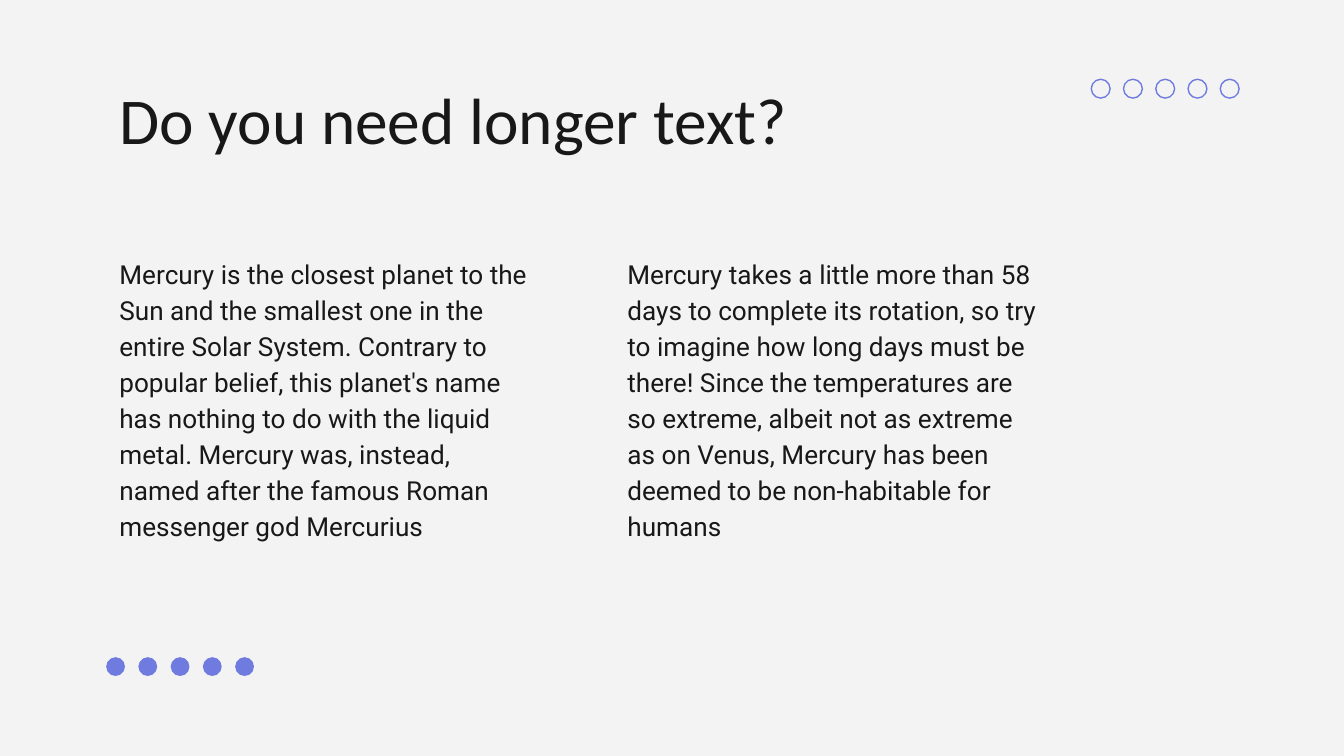
from pptx import Presentation
from pptx.dml.color import RGBColor as RGB
from pptx.enum.shapes import MSO_SHAPE as Shape
from pptx.enum.text import MSO_ANCHOR as Anchor
from pptx.util import Inches, Pt

COLORS = {"background": "F3F3F3", "ink": "181818", "accent": "707BE0"}

# Grid: a 16:9 slide with a left margin and two text columns
SLIDE_WIDTH = 10
SLIDE_HEIGHT = SLIDE_WIDTH * 9 / 16
MARGIN, COLUMN_STEP, COLUMN_WIDTH = 0.79, 3.78, 3.26
DOT_SIZE, DOT_STEP, DOT_COUNT = 0.14, 0.24, 5

prs = Presentation()
prs.slide_width, prs.slide_height = Inches(SLIDE_WIDTH), Inches(SLIDE_HEIGHT)
slide = prs.slides.add_slide(prs.slide_layouts[6])
slide.background.fill.solid()
slide.background.fill.fore_color.rgb = RGB.from_string(COLORS["background"])


def add_text(text, left, top, width, height, font, size, spacing):
    frame = slide.shapes.add_textbox(*map(Inches, (left, top, width, height))).text_frame
    frame.word_wrap = True
    frame.vertical_anchor = Anchor.TOP
    frame.margin_left = frame.margin_right = Inches(0.1)
    frame.margin_top = frame.margin_bottom = Inches(0.1)
    paragraph = frame.paragraphs[0]
    paragraph.line_spacing = spacing
    run = paragraph.add_run()
    run.text = text
    run.font.name, run.font.size = font, Pt(size)
    run.font.color.rgb = RGB.from_string(COLORS["ink"])


# Title
add_text("Do you need longer text?", MARGIN, 0.49, 8.43, 0.63, "Calibri", 35, 1.0)

# Two columns about Mercury
columns = [
    "Mercury is the closest planet to the Sun and the smallest one in the entire "
    "Solar System. Contrary to popular belief, this planet's name has nothing to do "
    "with the liquid metal. Mercury was, instead, named after the famous Roman "
    "messenger god Mercurius",
    "Mercury takes a little more than 58 days to complete its rotation, so try to "
    "imagine how long days must be there! Since the temperatures are so extreme, "
    "albeit not as extreme as on Venus, Mercury has been deemed to be non-habitable "
    "for humans",
]
for index, passage in enumerate(columns):
    add_text(passage, MARGIN + index * COLUMN_STEP, 1.79, COLUMN_WIDTH, 2.4,
             "Roboto", 14, 1.15)

# Dot rows: outlined at top right, filled at bottom left
accent = RGB.from_string(COLORS["accent"])
for row_left, row_top, filled in [(8.12, 0.59, False), (MARGIN, 4.89, True)]:
    dot_row = slide.shapes.add_group_shape()
    for index in range(DOT_COUNT):
        dot = dot_row.shapes.add_shape(
            Shape.OVAL, Inches(row_left + index * DOT_STEP), Inches(row_top),
            Inches(DOT_SIZE), Inches(DOT_SIZE))
        dot.shadow.inherit = False
        if filled:
            dot.fill.solid()
            dot.fill.fore_color.rgb = accent
            dot.line.fill.background()
        else:
            dot.fill.background()
            dot.line.color.rgb = accent
            dot.line.width = Pt(0.75)

prs.save("out.pptx")
